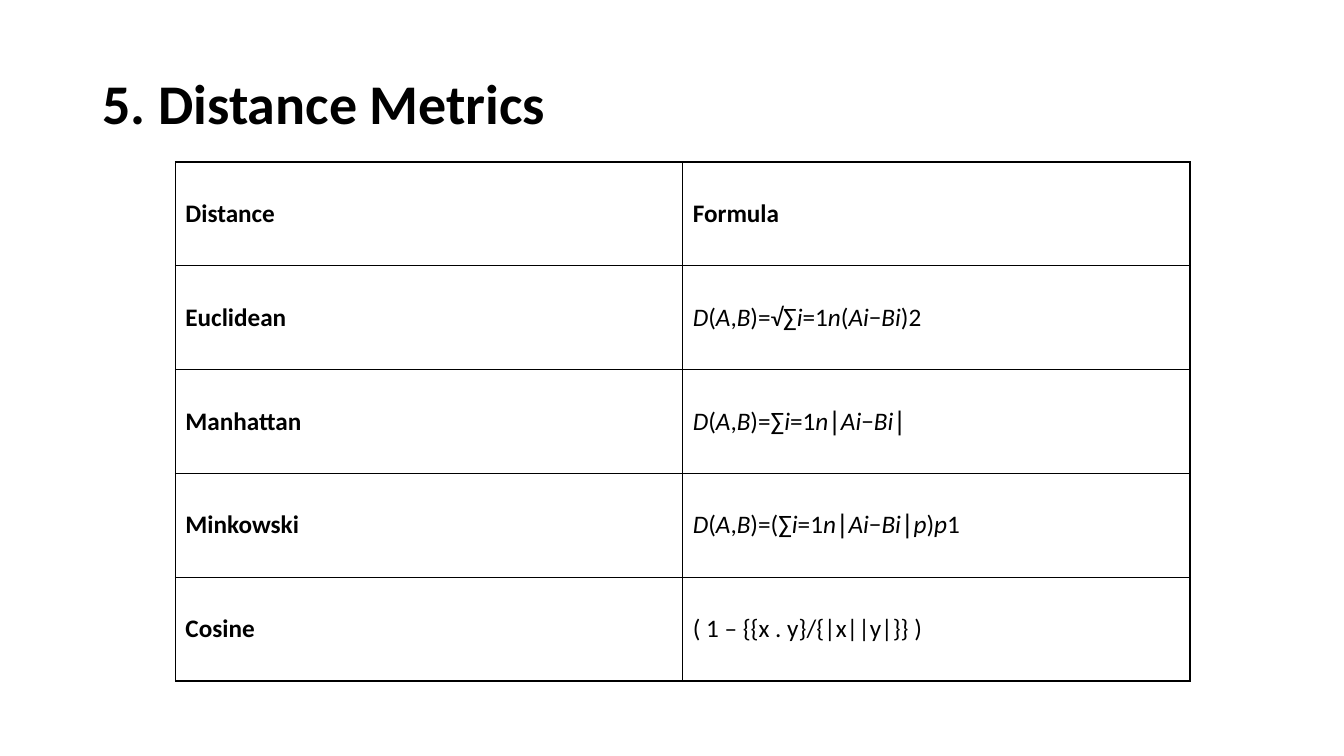
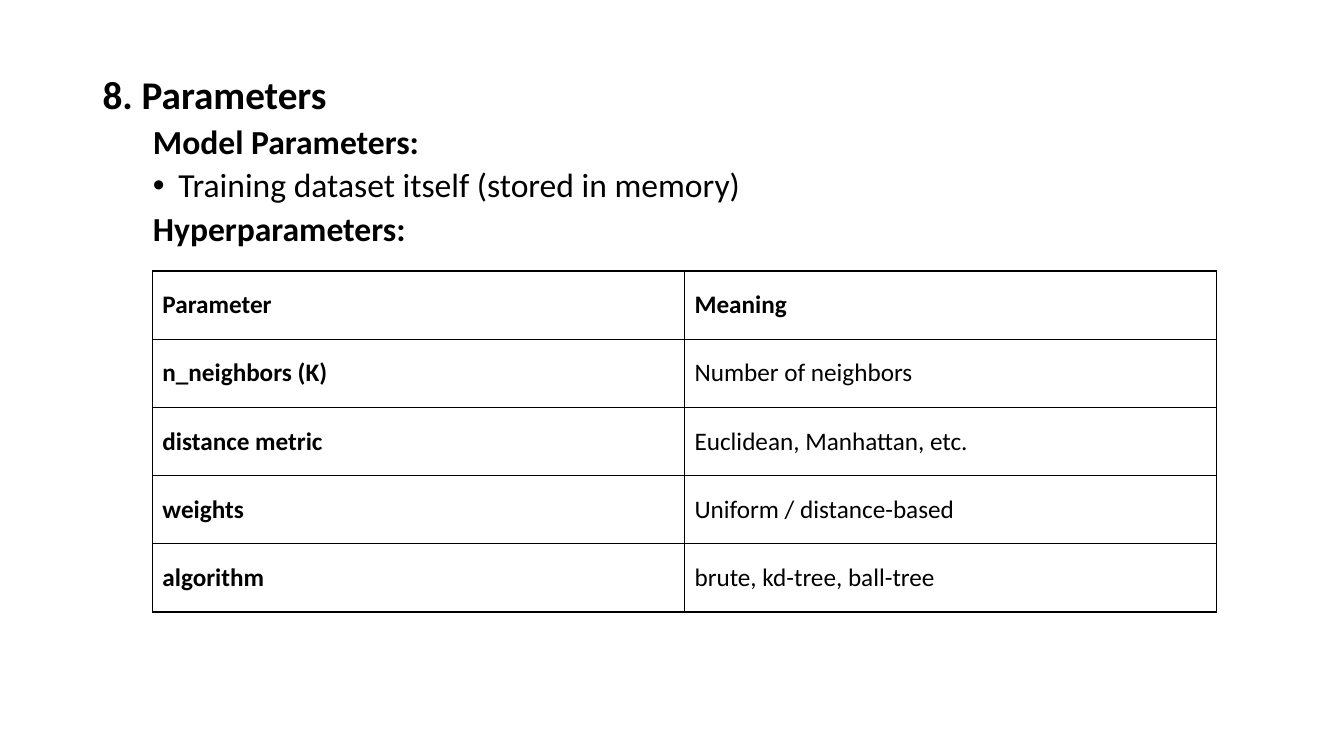
import itertools

import pptx
import pptx.dml.color
import pptx.enum.text
import pptx.oxml
import pptx.oxml.ns
import pptx.util
from lxml import etree

Cm = pptx.util.Cm
Pt = pptx.util.Pt
BLACK = pptx.dml.color.RGBColor(0, 0, 0)
WHITE = pptx.dml.color.RGBColor(255, 255, 255)
FONT = "Calibri"
LEFT, TOP, WIDTH = Cm(2.33), Cm(1.78), Cm(29.21)

METRICS = [
    ("Distance", "Formula"),
    ("Euclidean", "D(A,B)=√∑i=1n(Ai−Bi)2"),
    ("Manhattan", "D(A,B)=∑i=1n∣Ai−Bi∣"),
    ("Minkowski", "D(A,B)=(∑i=1n∣Ai−Bi∣p)p1"),
    ("Cosine", "( 1 – {{x . y}/{|x||y|}} )"),
]
PARAMS = [
    ("Parameter", "Meaning"),
    ("n_neighbors (K)", "Number of neighbors"),
    ("distance metric", "Euclidean, Manhattan, etc."),
    ("weights", "Uniform / distance-based"),
    ("algorithm", "brute, kd-tree, ball-tree"),
]
# Text and whether it is a bullet
POINTS = [
    ("Model Parameters:", False),
    ("Training dataset itself (stored in memory)", True),
    ("Hyperparameters:", False),
]


def node(owner, tag, **attrs):
    return etree.SubElement(owner, pptx.oxml.ns.qn(tag), attrs)


def style(para, size, bold):
    font = para.font
    font.name, font.size, font.bold = FONT, Pt(size), bold
    font.color.rgb = BLACK


def place(shape, left, top, width, height):
    shape.left, shape.top = left, top
    shape.width, shape.height = width, height
    frame = shape.text_frame
    frame.word_wrap = True
    frame.auto_size = pptx.enum.text.MSO_AUTO_SIZE.NONE
    frame.vertical_anchor = pptx.enum.text.MSO_ANCHOR.TOP
    return frame


def add_title(slide, text, size, height):
    frame = place(slide.shapes.title, LEFT, TOP, WIDTH, height)
    frame.text = text
    para = frame.paragraphs[0]
    para.alignment = pptx.enum.text.PP_ALIGN.LEFT
    para.line_spacing = 0.9
    style(para, size, True)


def add_points(shape, points, left, top, width, height):
    frame = place(shape, left, top, width, height)
    frame.text = "\n".join(text for text, _ in points)
    for para, (_, bullet) in zip(frame.paragraphs, points):
        para.level = 1
        para.line_spacing = 0.9
        para.space_before = Pt(5)
        props = para._p.get_or_add_pPr()
        props.set("marL", str(Cm(1.91 if bullet else 1.27)))
        props.set("indent", str(Cm(-0.64 if bullet else 0)))
        if bullet:
            node(props, "a:buFont", typeface="Arial")
            node(props, "a:buChar", char="•")
        else:
            node(props, "a:buNone")
        style(para, 24, not bullet)


def add_borders(cell):
    props = cell._tc.get_or_add_tcPr()
    for side in ("a:lnL", "a:lnR", "a:lnT", "a:lnB"):
        line = node(props, side, w=str(Pt(1)))
        node(node(line, "a:solidFill"), "a:srgbClr", val=str(BLACK))


def fill_cell(cell, text, bold):
    add_borders(cell)
    cell.fill.solid()
    cell.fill.fore_color.rgb = WHITE
    cell.vertical_anchor = pptx.enum.text.MSO_ANCHOR.MIDDLE
    para = cell.text_frame.paragraphs[0]
    style(para, 18, bold)
    # Variables of a distance formula are italic
    if text.startswith("D("):
        for letter, part in itertools.groupby(text, str.isalpha):
            run = para.add_run()
            run.text = "".join(part)
            run.font.italic = letter
    else:
        para.add_run().text = text


def add_grid(slide, rows, left, top, width, height):
    table = slide.shapes.add_table(
        len(rows), len(rows[0]), left, top, width, height).table
    table.first_row = table.horz_banding = False
    for r, row in enumerate(rows):
        for c, text in enumerate(row):
            fill_cell(table.cell(r, c), text, r == 0 or c == 0)


def add_metrics(deck):
    slide = deck.slides.add_slide(deck.slide_layouts.get_by_name("Title Only"))
    add_title(slide, "5. Distance Metrics", 40, Cm(2.1))
    add_grid(slide, METRICS, Cm(4.42), Cm(4.08), Cm(25.57), Cm(13.08))


def add_params(deck):
    slide = deck.slides.add_slide(
        deck.slide_layouts.get_by_name("Title and Content"))
    add_title(slide, "8. Parameters", 28, Cm(1.26))
    add_points(slide.placeholders[1], POINTS, LEFT, TOP + Cm(1.26),
               WIDTH, Cm(3.7))
    add_grid(slide, PARAMS, Cm(3.84), Cm(6.83), Cm(26.82), Cm(8.59))


def main():
    deck = pptx.Presentation()
    deck.slide_width, deck.slide_height = Cm(33.87), Cm(19.05)
    add_metrics(deck)
    add_params(deck)
    deck.save("out.pptx")


if __name__ == "__main__":
    main()
